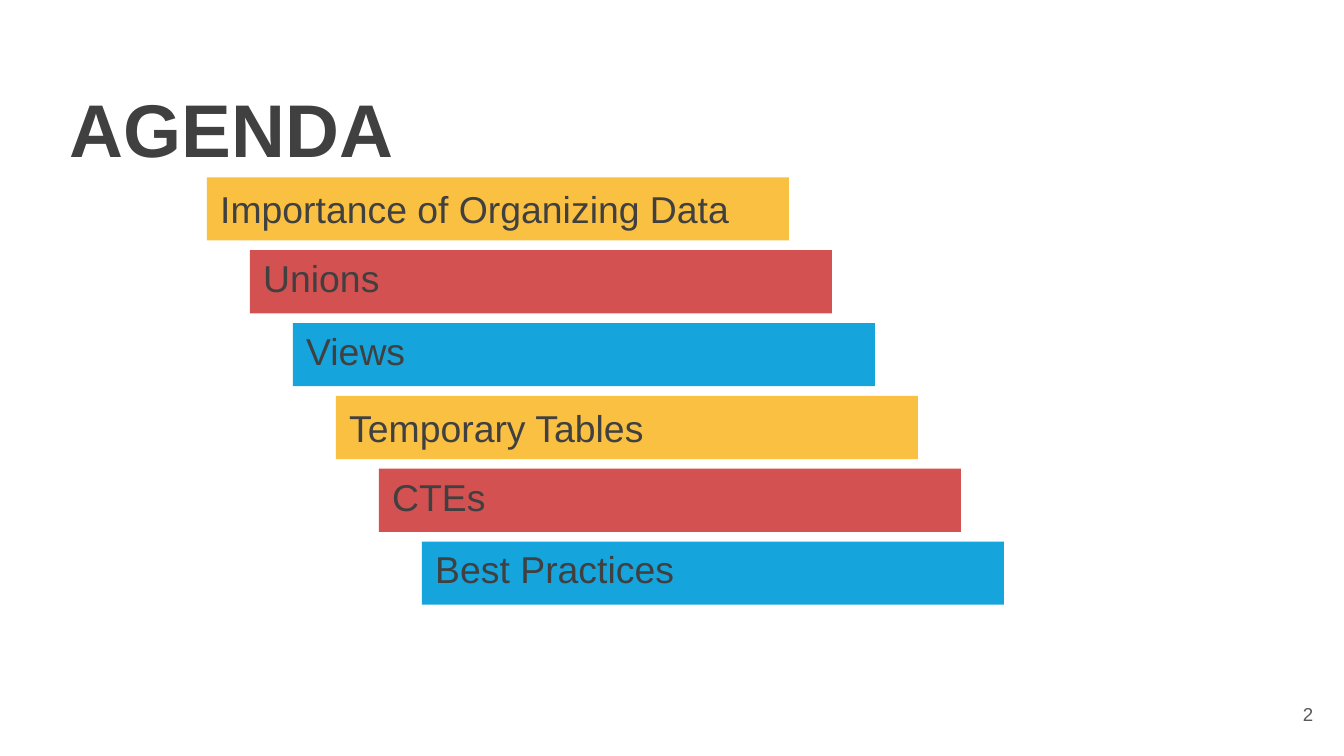
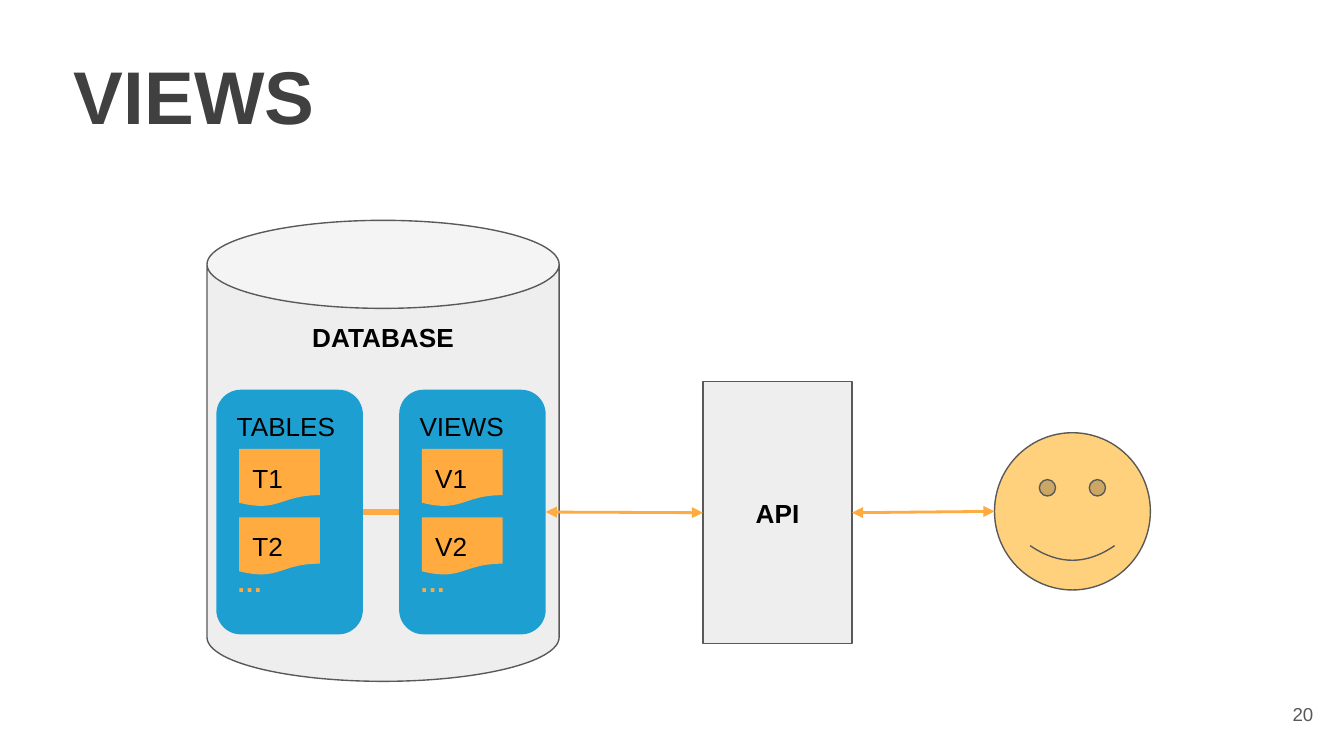
"""Build the agenda slide and the views diagram slide."""
from lxml import etree
from pptx import Presentation
from pptx.dml.color import RGBColor
from pptx.enum.shapes import MSO_CONNECTOR, MSO_SHAPE
from pptx.enum.text import MSO_ANCHOR, MSO_AUTO_SIZE, PP_ALIGN
from pptx.oxml.ns import qn
from pptx.util import Inches, Pt

LEFT, CENTER, RIGHT = PP_ALIGN.LEFT, PP_ALIGN.CENTER, PP_ALIGN.RIGHT
TOP, MIDDLE = MSO_ANCHOR.TOP, MSO_ANCHOR.MIDDLE
NO_AUTOFIT = MSO_AUTO_SIZE.NONE
STRAIGHT = MSO_CONNECTOR.STRAIGHT
RECTANGLE, ROUNDED = MSO_SHAPE.RECTANGLE, MSO_SHAPE.ROUNDED_RECTANGLE
CAN, DOCUMENT = MSO_SHAPE.CAN, MSO_SHAPE.FLOWCHART_DOCUMENT
SMILEY = MSO_SHAPE.SMILEY_FACE

FONT = "Arial"
DARK, GRAY, BLACK = "404040", "595959", "000000"
YELLOW, RED, BLUE = "F9C042", "D45152", "16A4DD"
PALE, PANEL_BLUE, ORANGE, SKIN = "EEEEEE", "1E9FD2", "FFAB40", "FFD17D"


def write(box, text, size=14, color=BLACK, bold=False, align=LEFT, anchor=TOP,
          spacing=None, before=None):
    """Write text in the box, adding a paragraph when it already holds some."""
    frame = box.text_frame
    frame.word_wrap = True
    frame.auto_size = NO_AUTOFIT
    frame.vertical_anchor = anchor
    frame.margin_left = frame.margin_right = Inches(0.1)
    frame.margin_top = frame.margin_bottom = Inches(0.1)
    para = frame.add_paragraph() if frame.text else frame.paragraphs[0]
    para.alignment = align
    if spacing:
        para.line_spacing = spacing
    if before:
        para.space_before = Pt(before)
    span = para.add_run()
    span.text = text
    span.font.name = FONT
    span.font.size = Pt(size)
    span.font.bold = bold
    span.font.color.rgb = RGBColor.from_string(color)


def draw(parent, kind, left, top, width, height, fill, line=None):
    """Draw a flat preset shape on a slide or in a group."""
    shape = parent.shapes.add_shape(
        kind, Inches(left), Inches(top), Inches(width), Inches(height))
    shape.shadow.inherit = False
    shape.fill.solid()
    shape.fill.fore_color.rgb = RGBColor.from_string(fill)
    if line:
        shape.line.color.rgb = RGBColor.from_string(line)
        shape.line.width = Pt(0.75)
    else:
        shape.line.fill.background()
    return shape


deck = Presentation()
deck.slide_width, deck.slide_height = Inches(10), Inches(5.625)

pages = []
for heading, number, bounds in [
    ("AGENDA", "2", (0.42, 0.52, 4.01, 0.63)),
    ("VIEWS", "20", (0.45, 0.27, 7.77, 1.82)),
]:
    page = deck.slides.add_slide(deck.slide_layouts[5])
    title = page.shapes.title
    title.left, title.top, title.width, title.height = map(Inches, bounds)
    write(title, heading, size=40, color=DARK, bold=True)
    footer = page.shapes.add_textbox(
        Inches(9.27), Inches(5.1), Inches(0.6), Inches(0.43))
    write(footer, number, size=10, color=GRAY, align=RIGHT, anchor=MIDDLE)
    pages.append(page)
agenda, views = pages

topics = ["Importance of Organizing Data", "Unions", "Views",
          "Temporary Tables", "CTEs", "Best Practices"]
bar_styles = [(YELLOW, None), (RED, 0.8), (BLUE, 0.8)]
first_top, last_top = 1.32, 4.03
bar_step = (last_top - first_top) / (len(topics) - 1)
for index, topic in enumerate(topics):
    fill, spacing = bar_styles[index % len(bar_styles)]
    bar = draw(agenda, RECTANGLE, 1.54 + 0.32 * index,
               first_top + bar_step * index, 4.33, 0.47, fill)
    write(bar, topic, size=20, color=DARK, anchor=MIDDLE, spacing=spacing)

database = views.shapes.add_group_shape()
can = draw(database, CAN, 1.54, 1.64, 2.62, 3.43, PALE, line=GRAY)
write(can, "DATABASE", bold=True, align=CENTER)

panels = []
for left, label, items in [(1.61, "TABLES", ["T1", "T2"]),
                           (2.97, "VIEWS", ["V1", "V2"])]:
    panel = draw(database, ROUNDED, left, 2.9, 1.09, 1.82, PANEL_BLUE)
    write(panel, label)
    write(panel, "…", color=ORANGE, bold=True, before=67)
    for index, item in enumerate(items):
        sheet = draw(database, DOCUMENT, left + 0.17, 3.34 + 0.51 * index,
                     0.6, 0.43, ORANGE)
        write(sheet, item)
    panels.append(panel)
tables_panel, views_panel = panels

api = draw(views, RECTANGLE, 5.23, 2.84, 1.11, 1.95, PALE, line=GRAY)
write(api, "API", bold=True, align=CENTER, anchor=MIDDLE)
user = draw(views, SMILEY, 7.4, 3.22, 1.16, 1.17, SKIN, line=GRAY)

for parent, source, side, target, width, arrows in [
    (database, views_panel, 1, tables_panel, 3, []),
    (views, views_panel, 3, api, 1.5, ["headEnd", "tailEnd"]),
    (views, api, 3, user, 1.5, ["headEnd", "tailEnd"]),
]:
    link = parent.shapes.add_connector(
        STRAIGHT, 0, 0, user.left, user.top + user.height // 2)
    link.begin_connect(source, side)
    if target is not user:
        link.end_connect(target, 4 - side)
    link.line.color.rgb = RGBColor.from_string(ORANGE)
    link.line.width = Pt(width)
    for arrow in arrows:
        etree.SubElement(link.line._get_or_add_ln(), qn(f"a:{arrow}"), type="triangle")
    etree.SubElement(link._element.spPr, qn("a:effectLst"))

deck.save("out.pptx")
